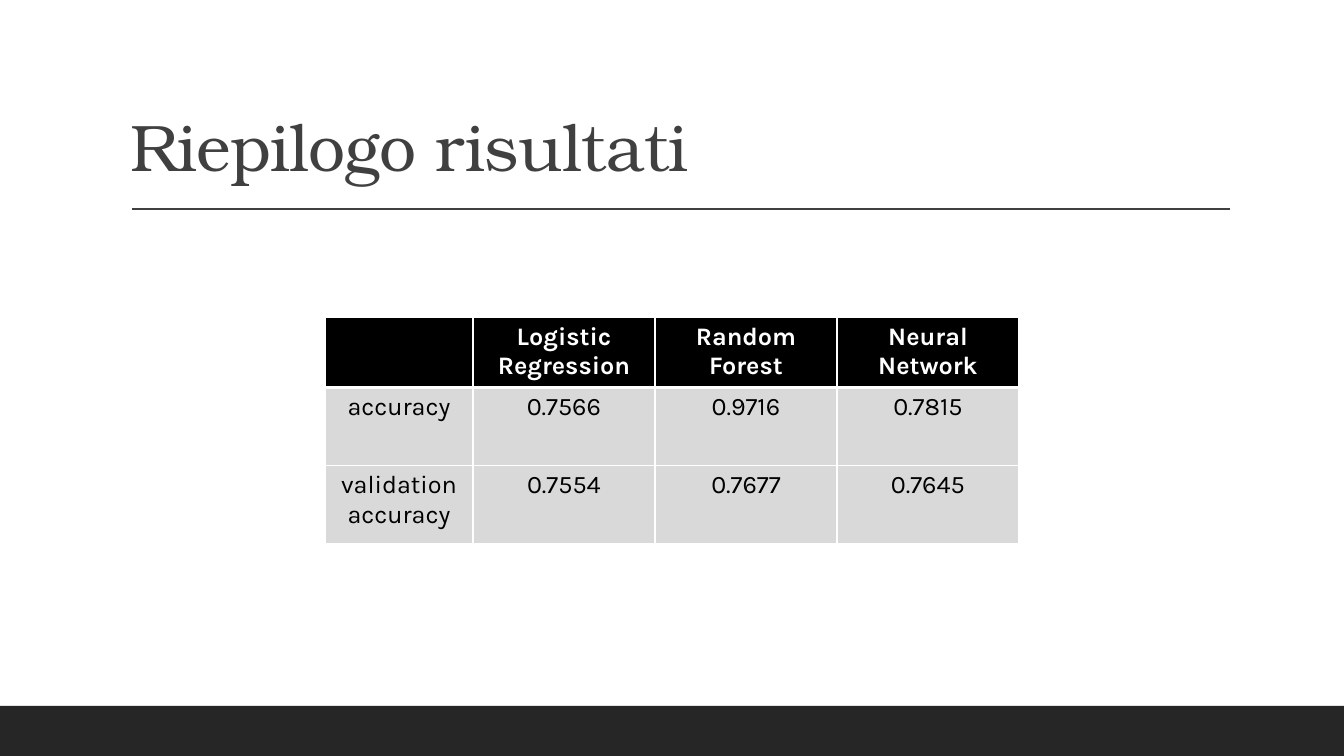
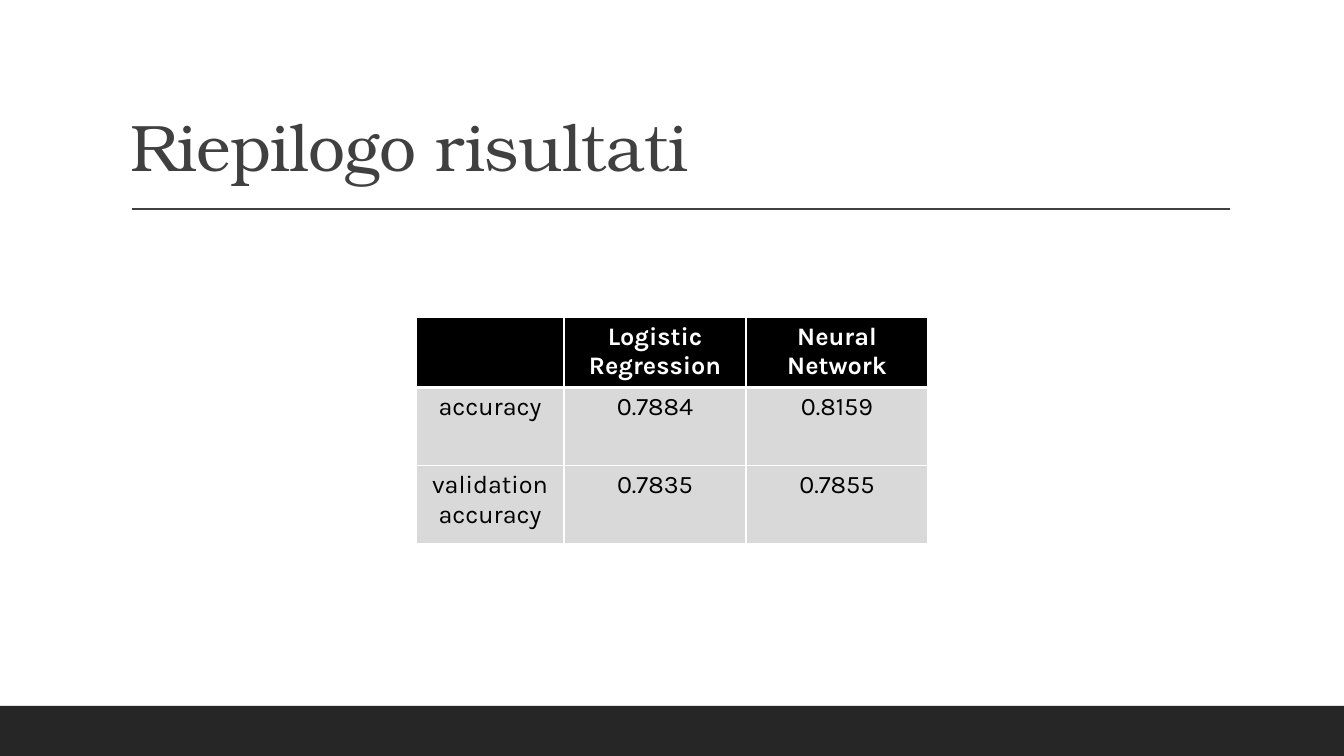
from dataclasses import dataclass

from lxml import etree
from pptx import Presentation
from pptx import util as u
from pptx.dml.color import RGBColor
from pptx.enum import shapes, text
from pptx.oxml import ns


@dataclass(frozen=True)
class Theme:
    band: str = "262626"
    title: str = "404040"
    header: str = "000000"
    body: str = "D9D9D9"
    light: str = "FFFFFF"
    dark: str = "000000"
    title_font: str = "TeX Gyre Bonum"
    table_font: str = "Karla"
    title_size: float = 47
    table_size: float = 18


theme = Theme()
SLIDE_WIDTH, SLIDE_HEIGHT = 1344, 756
BAND_TOP = 706
RULE_LEFT, RULE_RIGHT, RULE_TOP = 132, 1230, 209
TABLE_TOP = 317
LABEL_WIDTH, VALUE_WIDTH = 148, 182
ROW_HEIGHTS = (69, 78, 78)

TITLE = "Riepilogo risultati"
TABLES = [
    [
        ["", "Logistic Regression", "Random Forest", "Neural Network"],
        ["accuracy", "0.7566", "0.9716", "0.7815"],
        ["validation accuracy", "0.7554", "0.7677", "0.7645"],
    ],
    [
        ["", "Logistic Regression", "Neural Network"],
        ["accuracy", "0.7884", "0.8159"],
        ["validation accuracy", "0.7835", "0.7855"],
    ],
]


def px(length):
    return u.Emu(round(length * 914400 / 100.8))


def add_run(paragraph, words, font_name, size, color, bold=False):
    run = paragraph.add_run()
    run.text = words
    run.font.name = font_name
    run.font.size = u.Pt(size)
    run.font.bold = bold
    run.font.color.rgb = RGBColor.from_string(color)
    return run


presentation = Presentation()
presentation.slide_width, presentation.slide_height = px(SLIDE_WIDTH), px(SLIDE_HEIGHT)

for rows in TABLES:
    slide = presentation.slides.add_slide(presentation.slide_layouts[6])

    # Footer band
    band = slide.shapes.add_shape(
        shapes.MSO_SHAPE.RECTANGLE, 0, px(BAND_TOP), px(SLIDE_WIDTH), px(SLIDE_HEIGHT - BAND_TOP))
    band.shadow.inherit = False
    band.fill.solid()
    band.fill.fore_color.rgb = RGBColor.from_string(theme.band)
    band.line.fill.background()

    # Rule under the title
    rule = slide.shapes.add_connector(
        shapes.MSO_CONNECTOR.STRAIGHT, px(RULE_LEFT), px(RULE_TOP), px(RULE_RIGHT), px(RULE_TOP))
    rule.line.color.rgb = RGBColor.from_string(theme.title)
    rule.line.width = u.Pt(1)
    etree.SubElement(rule._element.spPr, ns.qn("a:effectLst"))

    # Title
    title = slide.shapes.add_textbox(px(121), px(31), px(1109), px(160))
    title.text_frame.word_wrap = True
    title.text_frame.vertical_anchor = text.MSO_ANCHOR.BOTTOM
    paragraph = title.text_frame.paragraphs[0]
    paragraph.line_spacing = 0.9
    run = add_run(paragraph, TITLE, theme.title_font, theme.title_size, theme.title)
    run.font._element.set("spc", "-50")

    # Results table, centred on the slide
    widths = [LABEL_WIDTH] + [VALUE_WIDTH] * (len(rows[0]) - 1)
    table_width = sum(widths)
    table = slide.shapes.add_table(
        len(rows), len(widths), px((SLIDE_WIDTH - table_width) / 2), px(TABLE_TOP),
        px(table_width), px(sum(ROW_HEIGHTS))).table
    table.first_row = table.horz_banding = False
    for column, width in zip(table.columns, widths):
        column.width = px(width)

    for row_index, (row, height, values) in enumerate(zip(table.rows, ROW_HEIGHTS, rows)):
        row.height = px(height)
        is_header = row_index == 0
        # The header is set off from the body by a thicker border
        borders = {"L": 1, "R": 1, "T": 3 if row_index == 1 else 1, "B": 3 if is_header else 1}
        for cell, words in zip(row.cells, values):
            properties = cell._tc.get_or_add_tcPr()
            for side, points in borders.items():
                line = etree.SubElement(properties, ns.qn(f"a:ln{side}"), w=str(u.Pt(points)))
                line_fill = etree.SubElement(line, ns.qn("a:solidFill"))
                etree.SubElement(line_fill, ns.qn("a:srgbClr"), val=theme.light)
            cell.fill.solid()
            cell.fill.fore_color.rgb = RGBColor.from_string(theme.header if is_header else theme.body)
            if words:
                paragraph = cell.text_frame.paragraphs[0]
                paragraph.alignment = text.PP_ALIGN.CENTER
                add_run(paragraph, words, theme.table_font, theme.table_size,
                        theme.light if is_header else theme.dark, bold=is_header)

presentation.save("out.pptx")
